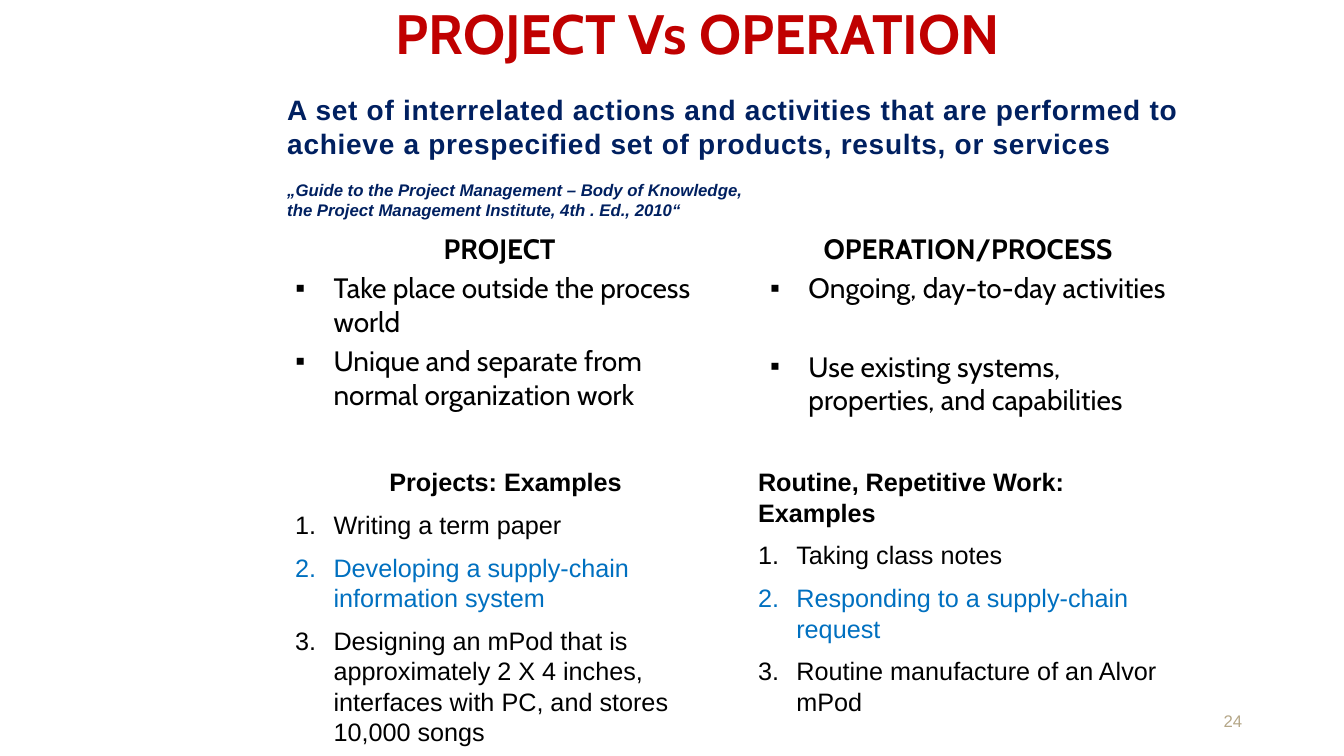
from dataclasses import dataclass

from lxml.etree import SubElement
from pptx import Presentation
from pptx.dml.color import RGBColor
from pptx.enum.shapes import MSO_SHAPE
from pptx.enum.text import MSO_ANCHOR, MSO_AUTO_SIZE, PP_ALIGN
from pptx.oxml.ns import qn
from pptx.util import Inches, Pt

TITLE = "PROJECT Vs OPERATION"
DEFINITION = (
    "A set of interrelated actions and activities that are performed to "
    "achieve a prespecified set of products, results, or services"
)
CITATION = [
    "„Guide to the Project Management – Body of Knowledge,",
    "the Project Management Institute, 4th . Ed., 2010“",
]
TRAITS = [
    {
        "box": (2.83, 2.25, 4.25, 1.92),
        "heading": "PROJECT",
        "items": ["Take place outside the process world",
                  "Unique and separate from normal organization work"],
        "gaps": [4, 4],
    },
    {
        "box": (7.54, 2.25, 4.12, 1.67),
        "heading": "OPERATION/PROCESS",
        "items": ["Ongoing, day-to-day activities",
                  "Use existing systems, properties, and capabilities"],
        "gaps": [4, 32],
    },
]
EXAMPLES = [
    {
        "box": (7.42, 4.58, 4.25, 2.68),
        "heading": "Routine, Repetitive Work: Examples",
        "align": PP_ALIGN.LEFT,
        "items": ["Taking class notes",
                  "Responding to a supply-chain request",
                  "Routine manufacture of an Alvor mPod"],
    },
    {
        "box": (2.83, 4.58, 4.37, 2.98),
        "heading": "Projects: Examples",
        "align": PP_ALIGN.CENTER,
        "items": ["Writing a term paper",
                  "Developing a supply-chain information system",
                  "Designing an mPod that is approximately 2 X 4 inches, "
                  "interfaces with PC, and stores 10,000 songs"],
    },
]
HIGHLIGHTED_ITEM = 1
PAGE_NUMBER = "24"


@dataclass(frozen=True)
class Theme:
    """Colours, fonts and type sizes of the slide."""
    red: RGBColor = RGBColor(0xC0, 0x00, 0x00)
    navy: RGBColor = RGBColor(0x00, 0x20, 0x60)
    blue: RGBColor = RGBColor(0x00, 0x70, 0xC0)
    black: RGBColor = RGBColor(0x00, 0x00, 0x00)
    white: RGBColor = RGBColor(0xFF, 0xFF, 0xFF)
    sand: RGBColor = RGBColor(0xB5, 0xA7, 0x88)
    display: str = "Cabin"
    body: str = "Arial"
    title_size: float = 39.6
    large: int = 20
    medium: int = 18
    small: int = 12


THEME = Theme()


def write(frame, text, font, size, color, bold=False, italic=False,
          align=PP_ALIGN.LEFT, before=0, bullet=None):
    """Fill the first empty paragraph of a frame or append a new one."""
    paragraph = frame.paragraphs[0]
    if paragraph.runs:
        paragraph = frame.add_paragraph()
    paragraph.add_run().text = text
    if bullet:
        properties = paragraph._p.get_or_add_pPr()
        properties.set("marL", str(Inches(0.38)))
        properties.set("indent", str(-Inches(0.38)))
        SubElement(properties, qn("a:buFont"), typeface=THEME.body)
        if bullet == "number":
            SubElement(properties, qn("a:buAutoNum"), type="arabicPeriod")
        else:
            SubElement(properties, qn("a:buChar"), char=bullet)
    paragraph.alignment = align
    paragraph.space_before = Pt(before)
    paragraph.font.name = font
    paragraph.font.size = Pt(size)
    paragraph.font.bold = bold
    paragraph.font.italic = italic
    paragraph.font.color.rgb = color
    return paragraph


def add_text_box(slide, box):
    """Add a wrapping text box and return its frame."""
    frame = slide.shapes.add_textbox(*map(Inches, box)).text_frame
    frame.word_wrap = True
    return frame


def add_title(slide):
    """Place and format the title placeholder."""
    title = slide.shapes.title
    title.left, title.top, title.width, title.height = map(Inches, (2.42, 0.05, 9, 0.62))
    frame = title.text_frame
    frame.auto_size = MSO_AUTO_SIZE.NONE
    frame.vertical_anchor = MSO_ANCHOR.MIDDLE
    paragraph = write(frame, TITLE, THEME.display, THEME.title_size, THEME.red,
                      bold=True, align=PP_ALIGN.CENTER)
    paragraph.line_spacing = 0.9


def add_traits(slide, column):
    """Add a heading with bulleted traits."""
    frame = add_text_box(slide, column["box"])
    write(frame, column["heading"], THEME.display, THEME.large, THEME.black,
          bold=True, align=PP_ALIGN.CENTER)
    for item, gap in zip(column["items"], column["gaps"]):
        write(frame, item, THEME.display, THEME.large, THEME.black, before=gap, bullet="▪")


def add_definition(slide):
    """Add the definition and its citation."""
    frame = add_text_box(slide, (2.75, 0.87, 9.42, 1.72))
    paragraph = write(frame, DEFINITION, THEME.body, THEME.large, THEME.navy, bold=True)
    paragraph.runs[0]._r.get_or_add_rPr().set("spc", "50")
    for line, gap in zip(CITATION, (14, 0)):
        write(frame, line, THEME.body, THEME.small, THEME.navy,
              bold=True, italic=True, before=gap)


def add_examples(slide, panel):
    """Add a white panel with numbered examples."""
    shape = slide.shapes.add_shape(MSO_SHAPE.RECTANGLE, *map(Inches, panel["box"]))
    shape.shadow.inherit = False
    shape.fill.solid()
    shape.fill.fore_color.rgb = THEME.white
    shape.line.fill.background()
    frame = shape.text_frame
    frame.word_wrap = True
    frame.vertical_anchor = MSO_ANCHOR.TOP
    write(frame, panel["heading"], THEME.body, THEME.medium, THEME.black,
          bold=True, align=panel["align"])
    for index, item in enumerate(panel["items"]):
        color = THEME.blue if index == HIGHLIGHTED_ITEM else THEME.black
        write(frame, item, THEME.body, THEME.medium, color, before=9, bullet="number")


def main():
    """Build and save the slide."""
    presentation = Presentation()
    presentation.slide_width = Inches(13.33)
    presentation.slide_height = Inches(7.5)
    slide = presentation.slides.add_slide(presentation.slide_layouts[5])
    add_title(slide)
    for column in TRAITS:
        add_traits(slide, column)
    add_definition(slide)
    for panel in EXAMPLES:
        add_examples(slide, panel)
    footer = add_text_box(slide, (9.42, 6.95, 3, 0.4))
    footer.vertical_anchor = MSO_ANCHOR.MIDDLE
    write(footer, PAGE_NUMBER, THEME.body, THEME.small, THEME.sand, align=PP_ALIGN.RIGHT)
    presentation.save("out.pptx")


if __name__ == "__main__":
    main()
